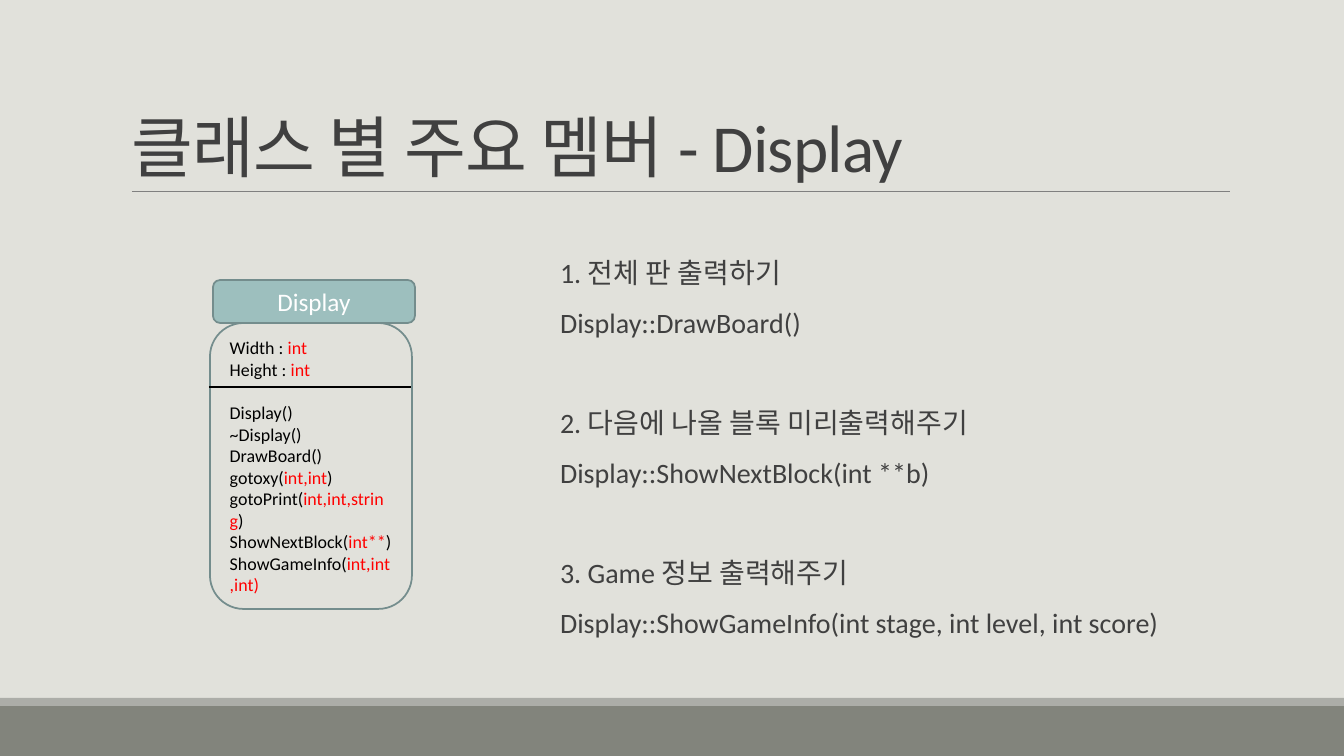
from dataclasses import dataclass

from lxml.etree import SubElement
from pptx import Presentation
from pptx.dml.color import RGBColor as Rgb
from pptx.enum.shapes import MSO_CONNECTOR as Connector, MSO_SHAPE as Preset
from pptx.enum.text import MSO_ANCHOR as Anchor, MSO_AUTO_SIZE as AutoSize, PP_ALIGN as Align
from pptx.oxml.ns import qn
from pptx.util import Emu, Pt

EMU_PER_PIXEL = 914400 * 10 // 1008


def px(pixels: int) -> Emu:
    return Emu(pixels * EMU_PER_PIXEL)


@dataclass(frozen=True)
class Theme:
    font: str = "Calibri"
    background: str = "E1E1DB"
    footer: str = "82847C"
    footer_edge: str = "ACADA8"
    rule: str = "808080"
    text: str = "404040"
    header_fill: str = "9DBFBE"
    outline: str = "748D8D"
    header_text: str = "FFFFFF"
    member: str = "000000"
    type_name: str = "FF0000"
    title_size: float = 48
    body_size: float = 20
    header_size: float = 18
    member_size: float = 12.8


@dataclass(frozen=True)
class Box:
    left: int
    top: int
    width: int
    height: int

    def emu(self) -> tuple[Emu, ...]:
        return px(self.left), px(self.top), px(self.width), px(self.height)


@dataclass(frozen=True)
class Member:
    name: str
    types: str = ""
    closing: str = ""
    space_before: float = 0


@dataclass(frozen=True)
class Feature:
    heading: str
    function: str


THEME = Theme()
MEMBERS = (
    Member("Width :", " int"),
    Member("Height : ", "int"),
    Member("Display()", space_before=15.6),
    Member("~Display()"),
    Member("DrawBoard()"),
    Member("gotoxy(", "int,int", ")"),
    Member("gotoPrint(", "int,int,string", ")"),
    Member("ShowNextBlock(", "int**", ")"),
    Member("ShowGameInfo(", "int,int,int)"),
)
FEATURES = (
    Feature("1. 전체 판 출력하기", "Display::DrawBoard()"),
    Feature("2. 다음에 나올 블록 미리출력해주기", "Display::ShowNextBlock(int **b)"),
    Feature("3. Game 정보 출력해주기", "Display::ShowGameInfo(int stage, int level, int score)"),
)


def style(paragraph, size: float, color: str, align: Align = Align.LEFT) -> None:
    paragraph.alignment = align
    paragraph.font.name = THEME.font
    paragraph.font.size = Pt(size)
    paragraph.font.color.rgb = Rgb.from_string(color)


def add_paragraph(frame, index: int):
    return frame.add_paragraph() if index else frame.paragraphs[0]


def add_block(shapes, preset: Preset, box: Box, fill: str = "", outline: str = ""):
    block = shapes.add_shape(preset, *box.emu())
    block.shadow.inherit = False
    if fill:
        block.fill.solid()
        block.fill.fore_color.rgb = Rgb.from_string(fill)
    else:
        block.fill.background()
    if outline:
        block.line.color.rgb = Rgb.from_string(outline)
        block.line.width = Pt(1.25)
    else:
        block.line.fill.background()
    block.text_frame.word_wrap = True
    block.text_frame.vertical_anchor = Anchor.MIDDLE
    return block


def add_rule(shapes, left: int, right: int, y: int, color: str, width: float) -> None:
    rule = shapes.add_connector(Connector.STRAIGHT, px(left), px(y), px(right), px(y))
    rule.line.color.rgb = Rgb.from_string(color)
    rule.line.width = Pt(width)
    SubElement(rule._element.spPr, qn("a:effectLst"))


def place(placeholder, box: Box, anchor: Anchor):
    placeholder.left, placeholder.top, placeholder.width, placeholder.height = box.emu()
    frame = placeholder.text_frame
    frame.word_wrap = True
    frame.auto_size = AutoSize.NONE
    frame.vertical_anchor = anchor
    return frame


def fill_title(placeholder) -> None:
    frame = place(placeholder, Box(121, 31, 1109, 160), Anchor.BOTTOM)
    frame.text = "클래스 별 주요 멤버 - Display"
    heading = frame.paragraphs[0]
    heading.line_spacing = 0.85
    style(heading, THEME.title_size, THEME.text)
    heading._p.get_or_add_pPr().get_or_add_defRPr().set("spc", "-50")


def fill_features(placeholder) -> None:
    frame = place(placeholder, Box(550, 208, 707, 483), Anchor.MIDDLE)
    lines = [(text, 48 if number and not part else 12)
             for number, feature in enumerate(FEATURES)
             for part, text in enumerate((feature.heading, feature.function))]
    for index, (text, space_before) in enumerate(lines):
        line = add_paragraph(frame, index)
        line.text = text
        line.line_spacing = 0.9
        line.space_before, line.space_after = Pt(space_before), Pt(2)
        style(line, THEME.body_size, THEME.text)
        properties = line._p.get_or_add_pPr()
        properties.set("marL", "0")
        properties.set("indent", "0")
        properties.insert_element_before(
            properties.makeelement(qn("a:buNone"), {}), "a:tabLst", "a:defRPr")


def add_class_diagram(slide) -> None:
    shapes = slide.shapes.add_group_shape().shapes
    header = add_block(shapes, Preset.ROUNDED_RECTANGLE, Box(213, 280, 202, 43),
                       THEME.header_fill, THEME.outline)
    header.text_frame.text = "Display"
    style(header.text_frame.paragraphs[0], THEME.header_size, THEME.header_text, Align.CENTER)

    members = add_block(shapes, Preset.ROUNDED_RECTANGLE, Box(210, 323, 202, 286),
                        outline=THEME.outline)
    for index, member in enumerate(MEMBERS):
        line = add_paragraph(members.text_frame, index)
        style(line, THEME.member_size, THEME.member)
        line.space_before = Pt(member.space_before)
        for text in filter(None, (member.name, member.types, member.closing)):
            run = line.add_run()
            run.text = text
            if text == member.types:
                run.font.color.rgb = Rgb.from_string(THEME.type_name)
    add_rule(shapes, 209, 411, 387, THEME.member, 1)


def main() -> None:
    deck = Presentation()
    deck.slide_width, deck.slide_height = px(1344), px(756)
    slide = deck.slides.add_slide(deck.slide_layouts[1])
    slide.background.fill.solid()
    slide.background.fill.fore_color.rgb = Rgb.from_string(THEME.background)
    add_block(slide.shapes, Preset.RECTANGLE, Box(0, 706, 1344, 50), THEME.footer)
    add_block(slide.shapes, Preset.RECTANGLE, Box(0, 698, 1344, 8), THEME.footer_edge)
    add_rule(slide.shapes, 132, 1230, 191, THEME.rule, 0.5)
    add_class_diagram(slide)
    fill_features(slide.placeholders[1])
    fill_title(slide.shapes.title)
    deck.save("out.pptx")


main()
